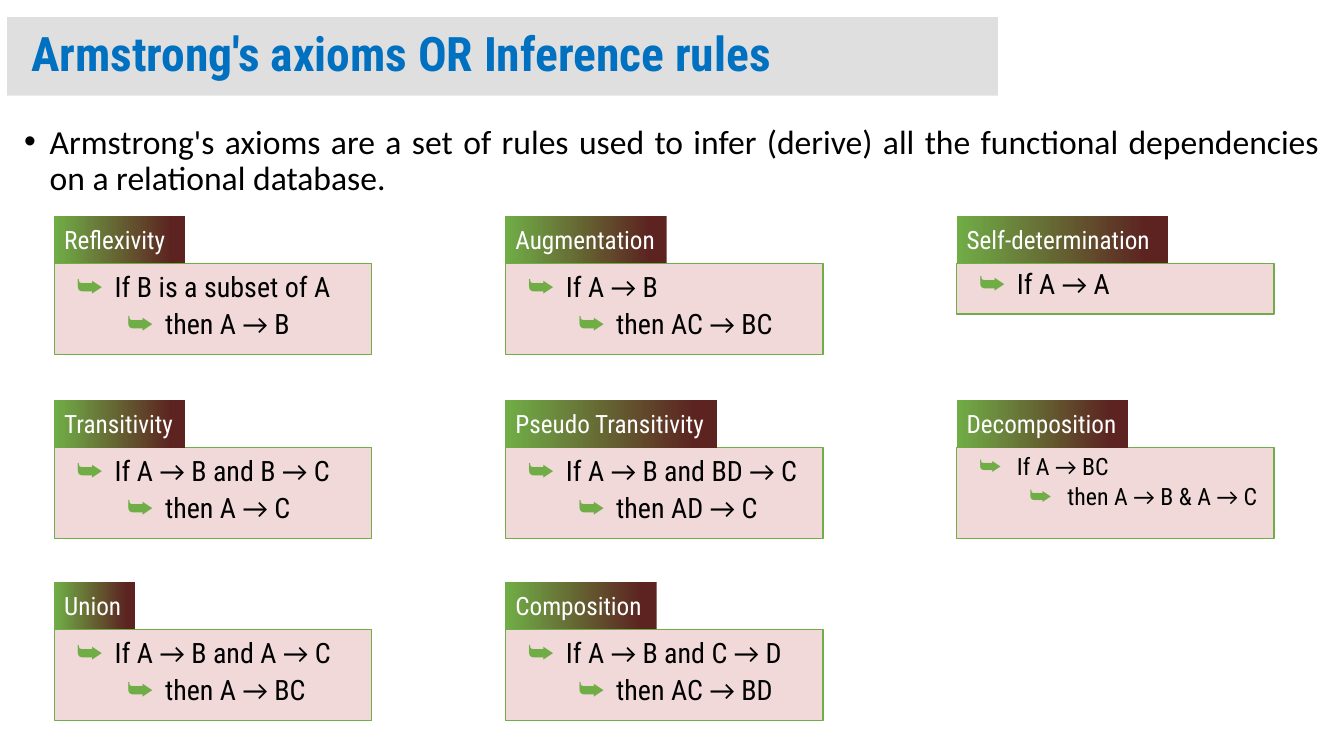
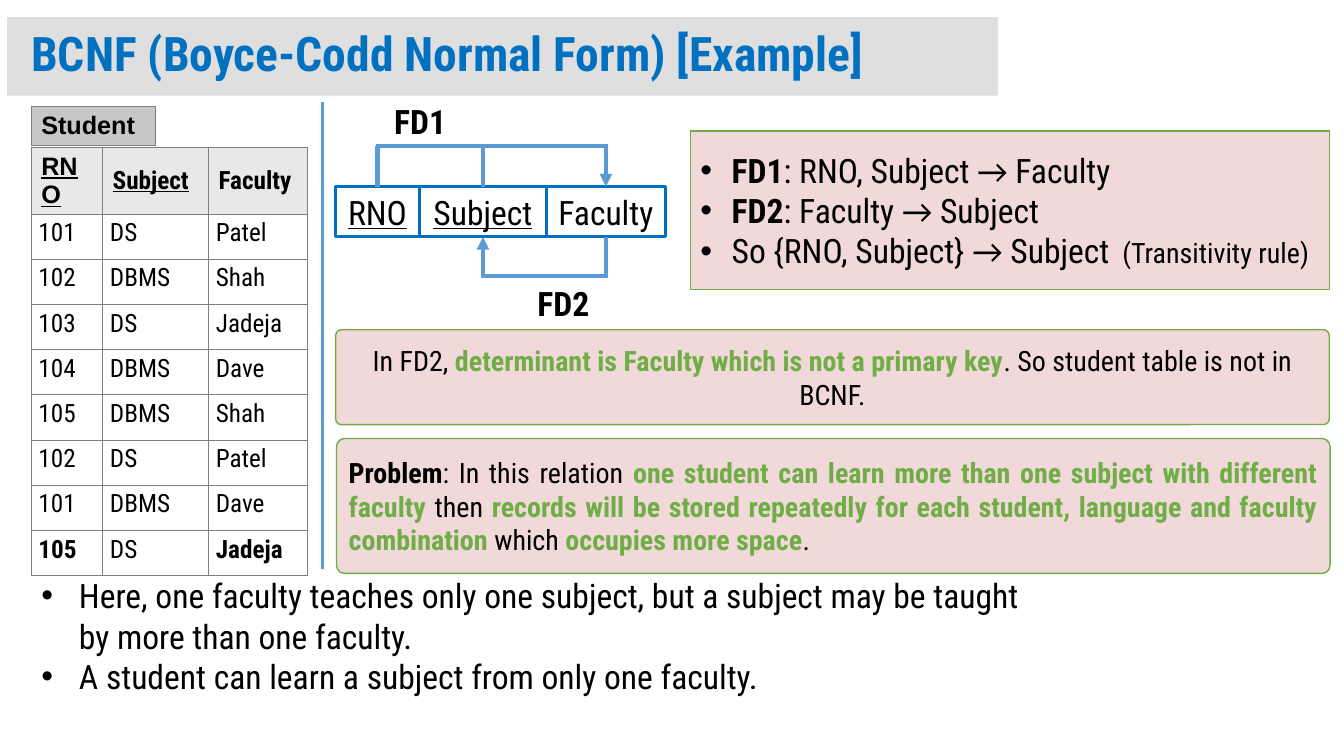
"""Build two slides on inference rules and the Boyce-Codd normal form."""
from typing import NamedTuple

from pptx import Presentation
from pptx.dml.color import RGBColor
from pptx.enum.shapes import MSO_CONNECTOR, MSO_SHAPE
from pptx.enum.text import MSO_ANCHOR, MSO_AUTO_SIZE, PP_ALIGN
from pptx.oxml.ns import qn
from pptx.oxml.xmlchemy import OxmlElement
from pptx.util import Cm, Pt

RECTANGLE = MSO_SHAPE.RECTANGLE
ROUNDED = MSO_SHAPE.ROUNDED_RECTANGLE
STRAIGHT = MSO_CONNECTOR.STRAIGHT
TOP, MIDDLE = MSO_ANCHOR.TOP, MSO_ANCHOR.MIDDLE
LEFT, CENTER, JUSTIFY = PP_ALIGN.LEFT, PP_ALIGN.CENTER, PP_ALIGN.JUSTIFY
NO_AUTOFIT = MSO_AUTO_SIZE.NONE

BLACK, WHITE = "000000", "FFFFFF"
BLUE, LINE_BLUE = "0070C0", "5B9BD5"
GREEN, MAROON, PINK = "70AD47", "5C2321", "F0D9D8"
BAND, HEADER_GRAY, LABEL_GRAY, BORDER_GRAY = "C0C0C0", "E8E8E8", "C7C7C7", "7F7F7F"
CONDENSED, CALIBRI, ARIAL = "Roboto Condensed", "Calibri", "Arial"
ARROW = "→ "
WIDE_INSETS, TEXT_INSETS, CELL_INSETS = (0.25, 0.25), (0.25, 0.13), (0.18, 0)

COLUMN_LEFT, COLUMN_PITCH = 1.37, 11.37
ROW_TOPS = (5.44, 10.08, 14.66)
TAG_HEIGHT, RULE_WIDTH = 1.2, 8.0


class Box(NamedTuple):
    """Position and size in centimetres."""
    left: float
    top: float
    width: float
    height: float


class Run(NamedTuple):
    """A piece of text with its own emphasis."""
    text: str
    bold: bool = False
    color: str = BLACK
    size: float | None = None


class Rule(NamedTuple):
    """An inference rule with its place in the grid."""
    name: str
    column: int
    row: int
    tag_width: float
    lines: tuple[str, ...]
    height: float = 2.29
    size: float = 20
    spacing: float = 0.9


class Attribute(NamedTuple):
    """A column of the relation diagram."""
    name: str
    left: float
    width: float
    key: bool

    @property
    def center(self) -> float:
        """Return the horizontal centre."""
        return self.left + self.width / 2


RULES = (
    Rule("Reflexivity", 0, 0, 3.3, ("If B is a subset of A", "then A → B")),
    Rule("Augmentation", 1, 0, 4.06, ("If A → B", "then AC → BC")),
    Rule("Self-determination", 2, 0, 5.33, ("If A → A",), height=1.27, spacing=0.8),
    Rule("Transitivity", 0, 1, 3.3, ("If A → B and B → C", "then A → C")),
    Rule("Pseudo Transitivity", 1, 1, 5.33, ("If A → B and BD → C", "then AD → C")),
    Rule("Decomposition", 2, 1, 4.32, ("If A → BC", "then A → B & A → C"),
         size=17, spacing=0.8),
    Rule("Union", 0, 2, 2.03, ("If A → B and A → C", "then A → BC")),
    Rule("Composition", 1, 2, 3.81, ("If A → B and C → D", "then AC → BD")),
)
ATTRIBUTES = (
    Attribute("RNO", 8.46, 2.11, True),
    Attribute("Subject", 10.57, 3.2, True),
    Attribute("Faculty", 13.77, 3.0, False),
)
STUDENTS = (
    ("101", "DS", "Patel"), ("102", "DBMS", "Shah"), ("103", "DS", "Jadeja"),
    ("104", "DBMS", "Dave"), ("105", "DBMS", "Shah"), ("102", "DS", "Patel"),
    ("101", "DBMS", "Dave"), ("105", "DS", "Jadeja"),
)


def rgb(value: str) -> RGBColor:
    """Turn a hex string into a colour."""
    return RGBColor.from_string(value)


def add_child(parent, tag: str, **attributes: str):
    """Append an XML element with attributes and return it."""
    child = OxmlElement(tag)
    for name, value in attributes.items():
        child.set(name, value)
    parent.append(child)
    return child


def set_frame(frame, insets: tuple[float, float], anchor=TOP) -> None:
    """Set insets, anchor and wrapping of a text frame."""
    frame.margin_left = frame.margin_right = Cm(insets[0])
    frame.margin_top = frame.margin_bottom = Cm(insets[1])
    frame.vertical_anchor = anchor
    frame.word_wrap = True
    frame.auto_size = NO_AUTOFIT


def write(frame, *runs: Run, size: float, font: str = CONDENSED, align=LEFT,
          spacing: float = 1.0, before: float = 0, underline: bool = False,
          bullet: str = "", bullet_color: str = BLACK, level: int = 0,
          margin: float = 0, hanging: float = 0) -> None:
    """Write a paragraph, with the arrows in their own font."""
    paragraph = frame.paragraphs[0]
    if paragraph.runs:
        paragraph = frame.add_paragraph()
    if bullet:
        properties = paragraph._p.get_or_add_pPr()
        properties.set("marL", str(Cm(margin)))
        properties.set("indent", str(-Cm(hanging)))
        add_child(add_child(properties, "a:buClr"), "a:srgbClr", val=bullet_color)
        add_child(properties, "a:buFont", typeface=ARIAL)
        add_child(properties, "a:buChar", char=bullet)
    paragraph.level = level
    paragraph.alignment = align
    paragraph.line_spacing = spacing
    paragraph.space_before = Pt(before)
    for run in runs:
        for index, part in enumerate(run.text.split(ARROW)):
            pieces = [(ARROW, CALIBRI)] if index else []
            pieces.append((part, font))
            for text, typeface in pieces:
                piece = paragraph.add_run()
                piece.text = text
                piece.font.name = typeface
                piece.font.size = Pt(run.size or size)
                piece.font.bold = run.bold
                piece.font.underline = underline
                piece.font.color.rgb = rgb(run.color)


def place(shape, box: Box) -> None:
    """Move and size a shape."""
    shape.left, shape.top, shape.width, shape.height = map(Cm, box)


def add_box(slide, box: Box, *, fill: str | None = PINK, line: str | None = GREEN,
            line_width: float = 1, radius: float = 0, insets=WIDE_INSETS, anchor=MIDDLE):
    """Add a rectangle, rounded when a radius is given."""
    shape = slide.shapes.add_shape(ROUNDED if radius else RECTANGLE, *map(Cm, box))
    if radius:
        shape.adjustments[0] = radius
    shape.shadow.inherit = False
    if fill:
        shape.fill.solid()
        shape.fill.fore_color.rgb = rgb(fill)
    else:
        shape.fill.background()
    if line:
        shape.line.color.rgb = rgb(line)
        shape.line.width = Pt(line_width)
    else:
        shape.line.fill.background()
    set_frame(shape.text_frame, insets, anchor)
    return shape


def add_line(slide, start: tuple[float, float], end: tuple[float, float], *,
             width: float = 3, arrow: bool = False) -> None:
    """Add a straight line, with an arrowhead at its end if asked."""
    connector = slide.shapes.add_connector(STRAIGHT, *map(Cm, start + end))
    connector.line.color.rgb = rgb(LINE_BLUE)
    connector.line.width = Pt(width)
    properties = connector._element.spPr
    if arrow:
        add_child(properties.find(qn("a:ln")), "a:tailEnd", type="triangle")
    add_child(properties, "a:effectLst")


def add_slide(presentation, title: str, body_box: Box, insets, anchor=TOP):
    """Add a slide with its title band and return it with its body frame."""
    slide = presentation.slides.add_slide(presentation.slide_layouts[1])
    band, body = slide.shapes.title, slide.placeholders[1]
    place(band, Box(0.18, 0.43, 24.97, 1.98))
    band.fill.solid()
    band.fill.fore_color.rgb = rgb(BAND)
    color = next(band._element.spPr.iter(qn("a:srgbClr")))
    add_child(color, "a:alpha", val="50000")
    set_frame(band.text_frame, (0.61, 0.3), MIDDLE)
    write(band.text_frame, Run(title, True, BLUE), size=34, spacing=0.9)
    place(body, body_box)
    set_frame(body.text_frame, insets, anchor)
    return slide, body.text_frame


def add_rule(slide, rule: Rule) -> None:
    """Draw a rule as a gradient tag over a box."""
    left, top = COLUMN_LEFT + rule.column * COLUMN_PITCH, ROW_TOPS[rule.row]
    box = add_box(slide, Box(left, top + TAG_HEIGHT, RULE_WIDTH, rule.height), anchor=TOP)
    for level, text in enumerate(rule.lines, start=1):
        write(box.text_frame, Run(text), size=rule.size, align=JUSTIFY,
              spacing=rule.spacing, before=5 * (level - 1), bullet="⮩",
              bullet_color=GREEN, level=level, margin=1.27 * level, hanging=0.95)
    tag = add_box(slide, Box(left, top, rule.tag_width, TAG_HEIGHT), line=None,
                  insets=TEXT_INSETS)
    tag.fill.gradient()
    tag.fill.gradient_angle = 180
    for stop, position, color in zip(tag.fill.gradient_stops, (0.1, 1), (MAROON, GREEN)):
        stop.position = position
        stop.color.rgb = rgb(color)
    write(tag.text_frame, Run(rule.name, color=WHITE), size=18)


def add_grid(slide, left: float, top: float, widths: tuple[float, ...],
             row_height: float, rows: int):
    """Add a plain table and return it."""
    frame = slide.shapes.add_table(rows, len(widths), Cm(left), Cm(top),
                                   Cm(sum(widths)), Cm(row_height * rows))
    table = frame.table
    table.first_row = table.horz_banding = False
    for column, width in zip(table.columns, widths):
        column.width = Cm(width)
    for row in table.rows:
        row.height = Cm(row_height)
    return table


def fill_cell(cell, text: str, *, fill: str = WHITE, bold: bool = True, insets=TEXT_INSETS,
              anchor=MIDDLE, **text_format) -> None:
    """Set borders, fill and text of a table cell."""
    properties = cell._tc.get_or_add_tcPr()
    for side in ("a:lnL", "a:lnR", "a:lnT", "a:lnB"):
        border = add_child(properties, side, w=str(Pt(0.75)))
        add_child(add_child(border, "a:solidFill"), "a:srgbClr", val=BORDER_GRAY)
    cell.fill.solid()
    cell.fill.fore_color.rgb = rgb(fill)
    cell.margin_left = cell.margin_right = Cm(insets[0])
    cell.margin_top = cell.margin_bottom = Cm(insets[1])
    cell.vertical_anchor = anchor
    write(cell.text_frame, Run(text, bold), size=18, **text_format)


def add_students(slide) -> None:
    """Draw the student table with its name label."""
    table = add_grid(slide, 0.79, 3.71, (1.8, 2.67, 2.5), 1.14, len(STUDENTS) + 1)
    for column, attribute in enumerate(ATTRIBUTES):
        fill_cell(table.cell(0, column), attribute.name, fill=HEADER_GRAY,
                  underline=attribute.key, font=CONDENSED if column else ARIAL)
    for row, student in enumerate(STUDENTS, start=1):
        for column, text in enumerate(student):
            fill_cell(table.cell(row, column), text, insets=CELL_INSETS, anchor=TOP,
                      bold=row == len(STUDENTS) and column != 1, spacing=1.15)
    label = add_grid(slide, 0.79, 2.69, (3.12,), 0.79, 1)
    fill_cell(label.cell(0, 0), "Student", fill=LABEL_GRAY, font=ARIAL)


def add_diagram(slide) -> None:
    """Draw the relation with its two functional dependencies."""
    top, bottom, upper_rail, lower_rail, overlap = 4.7, 5.97, 3.68, 6.96, 0.05
    for attribute in ATTRIBUTES:
        box = add_box(slide, Box(attribute.left, top, attribute.width, bottom - top),
                      fill=None, line=BLUE, line_width=2.25, insets=TEXT_INSETS, anchor=TOP)
        write(box.text_frame, Run(attribute.name), size=24, align=CENTER,
              underline=attribute.key)
    number, subject, faculty = (attribute.center for attribute in ATTRIBUTES)
    for rail, start in ((upper_rail, number), (lower_rail, subject)):
        add_line(slide, (start - overlap, rail), (faculty + overlap, rail))
    for center in (number, subject):
        add_line(slide, (center, top), (center, upper_rail))
    add_line(slide, (faculty, upper_rail), (faculty, top), arrow=True)
    add_line(slide, (faculty, bottom), (faculty, lower_rail))
    add_line(slide, (subject, lower_rail), (subject, bottom), arrow=True)
    for name, left, label_top in (("FD1", 9.55, 2.41), ("FD2", 13.16, 7.01)):
        label = slide.shapes.add_textbox(*map(Cm, (left, label_top, 2.08, 1.27)))
        set_frame(label.text_frame, TEXT_INSETS)
        write(label.text_frame, Run(name, True), size=24, align=CENTER)


def build_axioms(presentation) -> None:
    """Build the slide of inference rules."""
    slide, body = add_slide(presentation, "Armstrong's axioms OR Inference rules",
                            Box(0.36, 3.02, 33.15, 15.52), TEXT_INSETS)
    write(body, Run("Armstrong's axioms are a set of rules used to infer (derive) all the "
                    "functional dependencies on a relational database."),
          size=24, font=CALIBRI, align=JUSTIFY, spacing=0.9, bullet="•",
          margin=0.64, hanging=0.64)
    for rule in RULES:
        add_rule(slide, rule)


def build_example(presentation) -> None:
    """Build the normal form example slide."""
    slide, body = add_slide(presentation, "BCNF (Boyce-Codd Normal Form) [Example]",
                            Box(0.79, 14.02, 25.32, 3.99), WIDE_INSETS, MIDDLE)
    for text in ("Here, one faculty teaches only one subject, but a subject may be taught "
                 "by more than one faculty.",
                 "A student can learn a subject from only one faculty."):
        write(body, Run(text), size=24, bullet="•", margin=0.95, hanging=0.95)
    add_students(slide)
    add_line(slide, (8.13, 2.57), (8.13, 14.35), width=2.25)
    add_diagram(slide)
    dependencies = add_box(slide, Box(17.4, 3.3, 16.1, 3.99))
    for runs in ((Run("FD1", True), Run(": RNO, Subject → Faculty")),
                 (Run("FD2", True), Run(": Faculty → Subject")),
                 (Run("So {RNO, Subject} → Subject"),
                  Run("  (Transitivity rule)", size=20))):
        write(dependencies.text_frame, *runs, size=24, align=JUSTIFY, bullet="•",
              margin=0.79, hanging=0.79)
    finding = add_box(slide, Box(8.46, 8.31, 25.04, 2.39), radius=0.06)
    write(finding.text_frame, Run("In FD2, "),
          Run("determinant is Faculty which is not a primary key", True, GREEN),
          Run(". So student table is not in BCNF."), size=20, align=CENTER)
    problem = add_box(slide, Box(8.48, 11.05, 25.04, 3.4), radius=0.06)
    write(problem.text_frame, Run("Problem", True), Run(": In this relation "),
          Run("one student can learn more than one subject with different faculty",
              True, GREEN),
          Run(" then"),
          Run(" records will be stored repeatedly for each student, language and faculty "
              "combination ", True, GREEN),
          Run("which "), Run("occupies more space", True, GREEN), Run("."),
          size=20, align=JUSTIFY)


def main() -> None:
    """Build and save the presentation."""
    presentation = Presentation()
    presentation.slide_width, presentation.slide_height = Cm(33.87), Cm(19.05)
    build_axioms(presentation)
    build_example(presentation)
    presentation.save("out.pptx")


if __name__ == "__main__":
    main()
